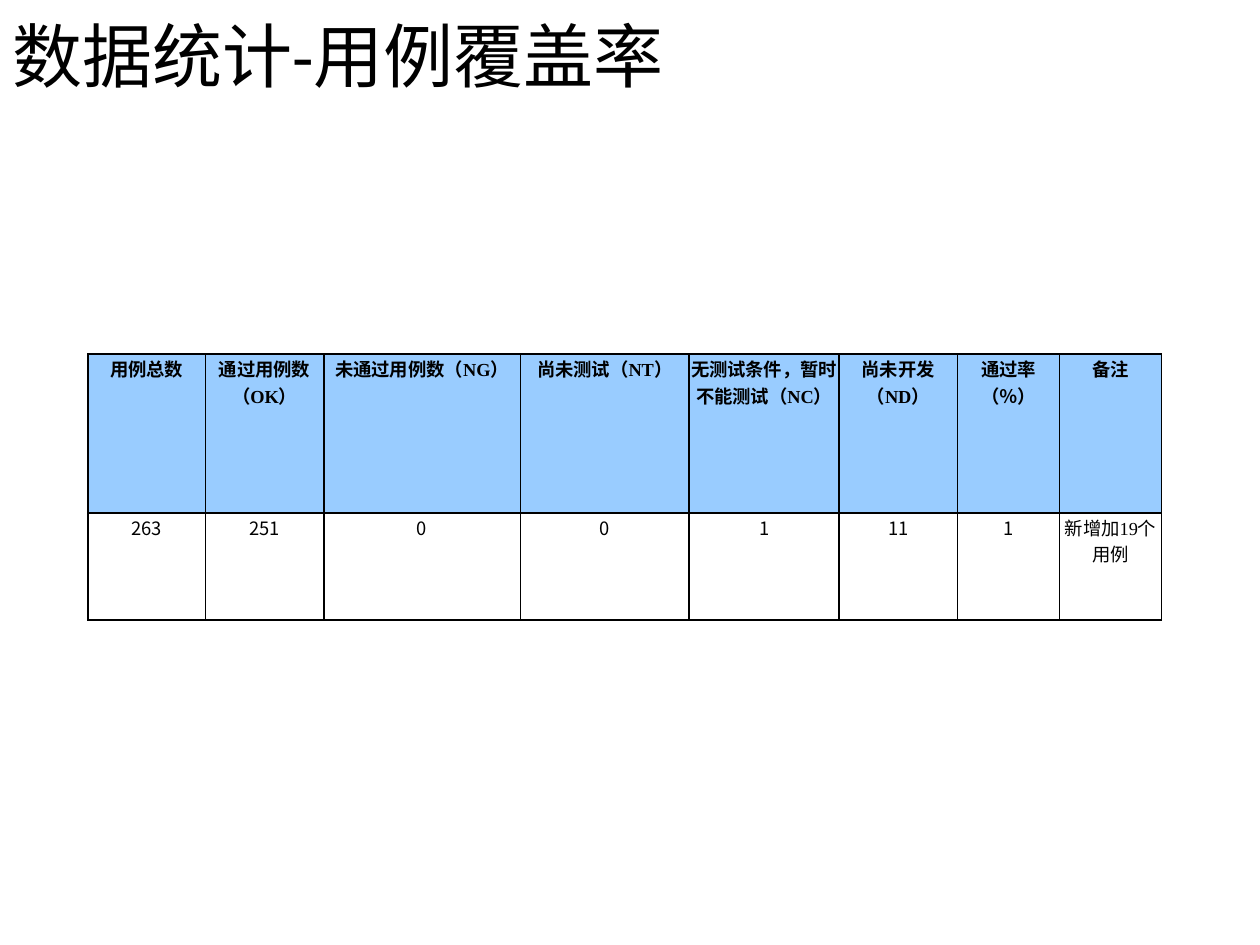
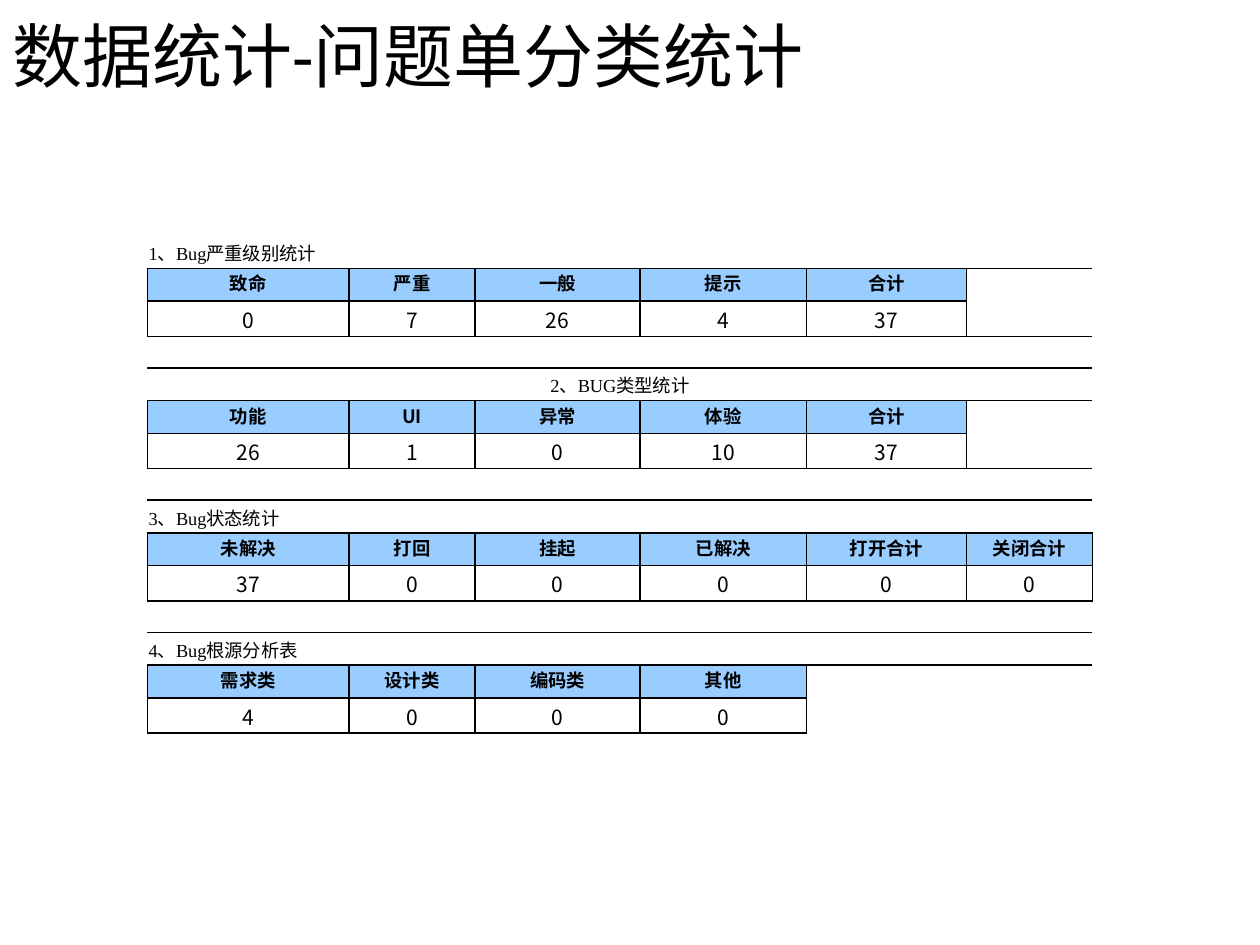
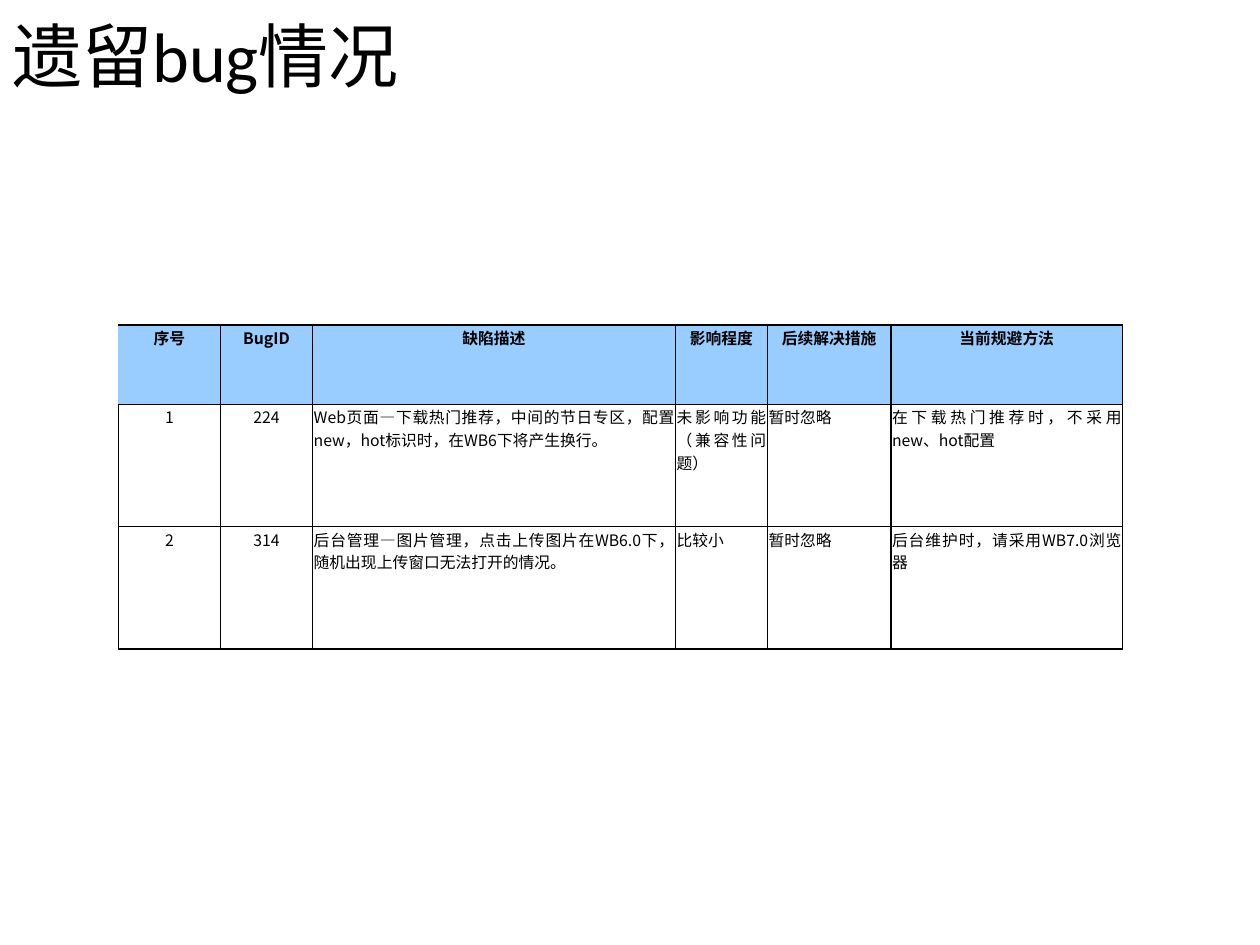
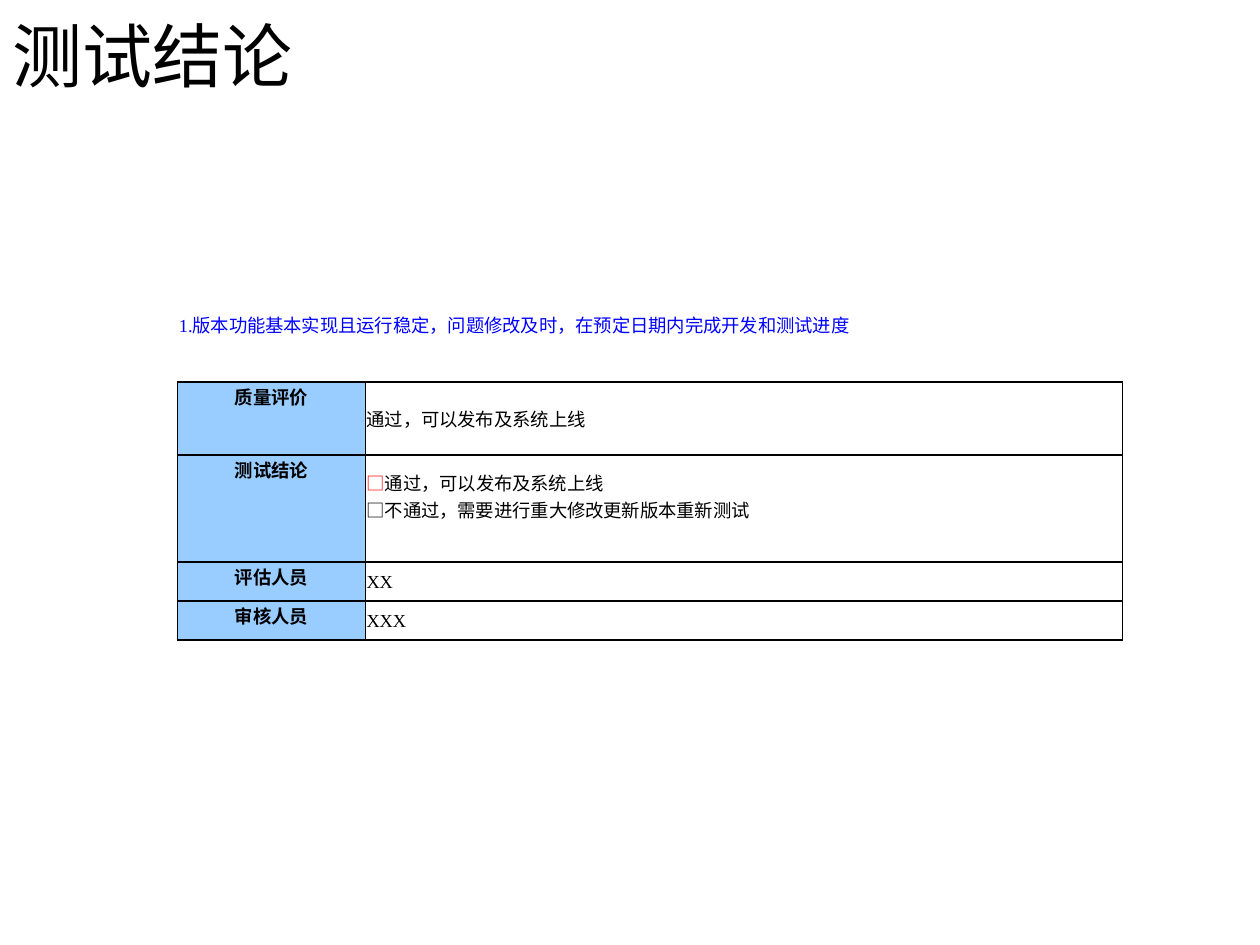
import itertools

import lxml.etree
import pptx
import pptx.dml.color
import pptx.enum.text
import pptx.oxml.ns
import pptx.util

Inches, Pt = pptx.util.Inches, pptx.util.Pt
qn = pptx.oxml.ns.qn
ALIGN = pptx.enum.text.PP_ALIGN
ANCHOR = pptx.enum.text.MSO_ANCHOR

BLACK = pptx.dml.color.RGBColor(0x00, 0x00, 0x00)
WHITE = pptx.dml.color.RGBColor(0xFF, 0xFF, 0xFF)
RED = pptx.dml.color.RGBColor(0xFF, 0x00, 0x00)
BLUE = pptx.dml.color.RGBColor(0x00, 0x00, 0xFF)
HEADER_BLUE = pptx.dml.color.RGBColor(0x99, 0xCC, 0xFF)
CJK_FONT, LATIN_FONT, TITLE_FONT = "Noto Sans CJK SC", "Times New Roman", "Calibri"
NO_GRID_STYLE = "{2D5ABB26-0587-4C30-8999-92F81FD0307C}"
HEADER = {"bold": True, "fill": HEADER_BLUE, "align": ALIGN.CENTER}


def add_text(paragraph, text, latin=CJK_FONT, size=10.5, bold=False, colour=BLACK):
    """Add runs, giving ASCII stretches the latin font."""
    for font_name, letters in itertools.groupby(text, lambda letter: latin if letter.isascii() else CJK_FONT):
        run = paragraph.add_run()
        run.text = "".join(letters)
        for name, value in {"name": font_name, "size": Pt(size), "bold": bold}.items():
            setattr(run.font, name, value)
        run.font.color.rgb = colour
        lxml.etree.SubElement(run.font._element, qn("a:ea"), typeface=CJK_FONT)


def fill_cell(cell, text="", edges="LRTB", fill=None, align=None, anchor=ANCHOR.TOP, **text_format):
    """Set the borders, fill, margins and text of a table cell."""
    properties = cell._tc.get_or_add_tcPr()
    for edge in edges:
        line = lxml.etree.SubElement(properties, qn("a:ln" + edge), w=str(Pt(1)))
        solid = lxml.etree.SubElement(line, qn("a:solidFill"))
        lxml.etree.SubElement(solid, qn("a:srgbClr"), val=str(BLACK))
    if fill is None:
        cell.fill.background()
    else:
        cell.fill.solid()
        cell.fill.fore_color.rgb = fill
    margin = Inches(0.01)
    for name, value in {"margin_left": margin, "margin_top": margin, "margin_right": margin,
                        "margin_bottom": 0, "vertical_anchor": anchor}.items():
        setattr(cell, name, value)
    paragraph = cell.text_frame.paragraphs[0]
    paragraph.alignment = align
    add_text(paragraph, text, **text_format)
    if not text:
        lxml.etree.SubElement(paragraph._p, qn("a:endParaRPr"), sz="1000")


presentation = pptx.Presentation()
presentation.slide_width, presentation.slide_height = Inches(10), Inches(7.5)

# Each slide: title, table left and top, column widths, row heights
slides = [
    ("数据统计-用例覆盖率", 0.7, 2.81, [0.93, 0.94, 1.56, 1.34, 1.19, 0.94, 0.81, 0.81], [1.26, 0.85]),
    ("数据统计-问题单分类统计", 1.17, 1.87, [1.6, 1, 1.31, 1.32, 1.27, 1],
     ([0.26, 0.26, 0.28, 0.25] * 4)[:-1]),
    ("遗留bug情况", 0.94, 2.58, [0.81, 0.73, 2.88, 0.73, 0.98, 1.84], [0.63, 0.97, 0.97]),
    ("测试结论", 1.41, 2.42, [1.49, 6.01], [0.3, 0.31, 0.58, 0.85, 0.31, 0.31]),
]
tables = []
for title_text, left, top, widths, heights in slides:
    slide = presentation.slides.add_slide(presentation.slide_layouts[5])
    title = slide.shapes.title
    for name, value in {"left": 0, "top": 0.07, "width": 9, "height": 0.72}.items():
        setattr(title, name, Inches(value))
    title.text_frame.auto_size = pptx.enum.text.MSO_AUTO_SIZE.NONE
    title.text_frame.vertical_anchor = ANCHOR.MIDDLE
    paragraph = title.text_frame.paragraphs[0]
    paragraph.alignment = ALIGN.LEFT
    run = paragraph.add_run()
    run.text = title_text
    for name, value in {"name": TITLE_FONT, "size": Pt(40)}.items():
        setattr(run.font, name, value)
    run.font.color.rgb = BLACK

    table = slide.shapes.add_table(len(heights), len(widths), Inches(left), Inches(top),
                                   Inches(sum(widths)), Inches(sum(heights))).table
    table.first_row = table.horz_banding = False
    table._tbl.tblPr.find(qn("a:tableStyleId")).text = NO_GRID_STYLE
    for column, width in zip(table.columns, widths):
        column.width = Inches(width)
    for row, height in zip(table.rows, heights):
        row.height = Inches(height)
    tables.append(table)
coverage, classification, remaining, conclusion = tables

# Case coverage
coverage_columns = [
    ("用例总数", "263"), ("通过用例数（OK）", "251"), ("未通过用例数（NG）", "0"), ("尚未测试（NT）", "0"),
    ("无测试条件，暂时不能测试（NC）", "1"), ("尚未开发（ND）", "11"), ("通过率（％）", "1"),
    ("备注", "新增加19个用例"),
]
for column, (heading, value) in enumerate(coverage_columns):
    fill_cell(coverage.cell(0, column), heading, latin=LATIN_FONT, **HEADER)
    value_font = CJK_FONT if value.isascii() else LATIN_FONT
    fill_cell(coverage.cell(1, column), value, latin=value_font, fill=WHITE, align=ALIGN.CENTER)

# Bug statistics: caption, headings, values and a spacer row per group
bug_groups = [
    ("1、Bug严重级别统计", ALIGN.LEFT, "致命 严重 一般 提示 合计", "0 7 26 4 37"),
    ("2、BUG类型统计", ALIGN.CENTER, "功能 UI 异常 体验 合计", "26 1 0 10 37"),
    ("3、Bug状态统计", ALIGN.LEFT, "未解决 打回 挂起 已解决 打开合计 关闭合计", "37 0 0 0 0 0"),
    ("4、Bug根源分析表", ALIGN.LEFT, "需求类 设计类 编码类 其他", "4 0 0 0"),
]
last_column = len(classification.columns) - 1
for group, (caption, align, headings, values) in enumerate(bug_groups):
    top_row = group * 4
    headings, values = headings.split(), values.split()
    fill_cell(classification.cell(top_row, 0), caption, edges="B", align=align,
              anchor=ANCHOR.MIDDLE, latin=LATIN_FONT)
    full_rows = [top_row]
    if group < len(bug_groups) - 1:
        full_rows.append(top_row + 3)
        fill_cell(classification.cell(top_row + 3, 0), edges="T")
    for row in full_rows:
        for column in range(1, last_column + 1):
            fill_cell(classification.cell(row, column), edges="")
        classification.cell(row, 0).merge(classification.cell(row, last_column))
    for column, (heading, value) in enumerate(zip(headings, values)):
        fill_cell(classification.cell(top_row + 1, column), heading, **HEADER)
        fill_cell(classification.cell(top_row + 2, column), value, size=12,
                  align=ALIGN.CENTER, anchor=ANCHOR.MIDDLE)
    for row in (top_row + 1, top_row + 2):
        for column in range(len(headings), last_column + 1):
            fill_cell(classification.cell(row, column), edges="L" if column == len(headings) else "")
        if len(headings) < last_column:
            classification.cell(row, len(headings)).merge(classification.cell(row, last_column))

# Remaining bugs
remaining_rows = [
    ["序号", "BugID", "缺陷描述", "影响程度", "后续解决措施", "当前规避方法"],
    ["1", "224", "Web页面—下载热门推荐，中间的节日专区，配置new，hot标识时，在WB6下将产生换行。",
     "未影响功能（兼容性问题）", "暂时忽略", "在下载热门推荐时，不采用new、hot配置"],
    ["2", "314", "后台管理—图片管理，点击上传图片在WB6.0下，随机出现上传窗口无法打开的情况。",
     "比较小", "暂时忽略", "后台维护时，请采用WB7.0浏览器"],
]
for row, texts in enumerate(remaining_rows):
    for column, text in enumerate(texts):
        body = {"align": ALIGN.CENTER if column < 2 else ALIGN.JUSTIFY}
        fill_cell(remaining.cell(row, column), text, size=9,
                  edges="RTB" if row == column == 0 else "LRTB", **(body if row else HEADER))

# Test conclusion
fill_cell(conclusion.cell(0, 0), "1.版本功能基本实现且运行稳定，问题修改及时，在预定日期内完成开发和测试进度",
          edges="", anchor=ANCHOR.MIDDLE, latin=LATIN_FONT, colour=BLUE)
fill_cell(conclusion.cell(0, 1), edges="")
conclusion.cell(0, 0).merge(conclusion.cell(0, 1))
for column in range(2):
    fill_cell(conclusion.cell(1, column), edges="B")
verdicts = [("质量评价", "通过，可以发布及系统上线", ALIGN.JUSTIFY, BLACK), ("测试结论", "□", ALIGN.LEFT, RED),
            ("评估人员", "XX", ALIGN.JUSTIFY, BLACK), ("审核人员", "XXX", ALIGN.JUSTIFY, BLACK)]
for row, (label, text, align, colour) in enumerate(verdicts, start=2):
    fill_cell(conclusion.cell(row, 0), label, **HEADER)
    fill_cell(conclusion.cell(row, 1), text, align=align, anchor=ANCHOR.MIDDLE,
              latin=LATIN_FONT, colour=colour)

# The second option follows the red box on a new line
options = conclusion.cell(3, 1)
options.margin_bottom = Inches(0.21)
paragraph = options.text_frame.paragraphs[0]
add_text(paragraph, "通过，可以发布及系统上线")
paragraph.add_line_break()
add_text(paragraph, "□不通过，需要进行重大修改更新版本重新测试")

presentation.save("out.pptx")
